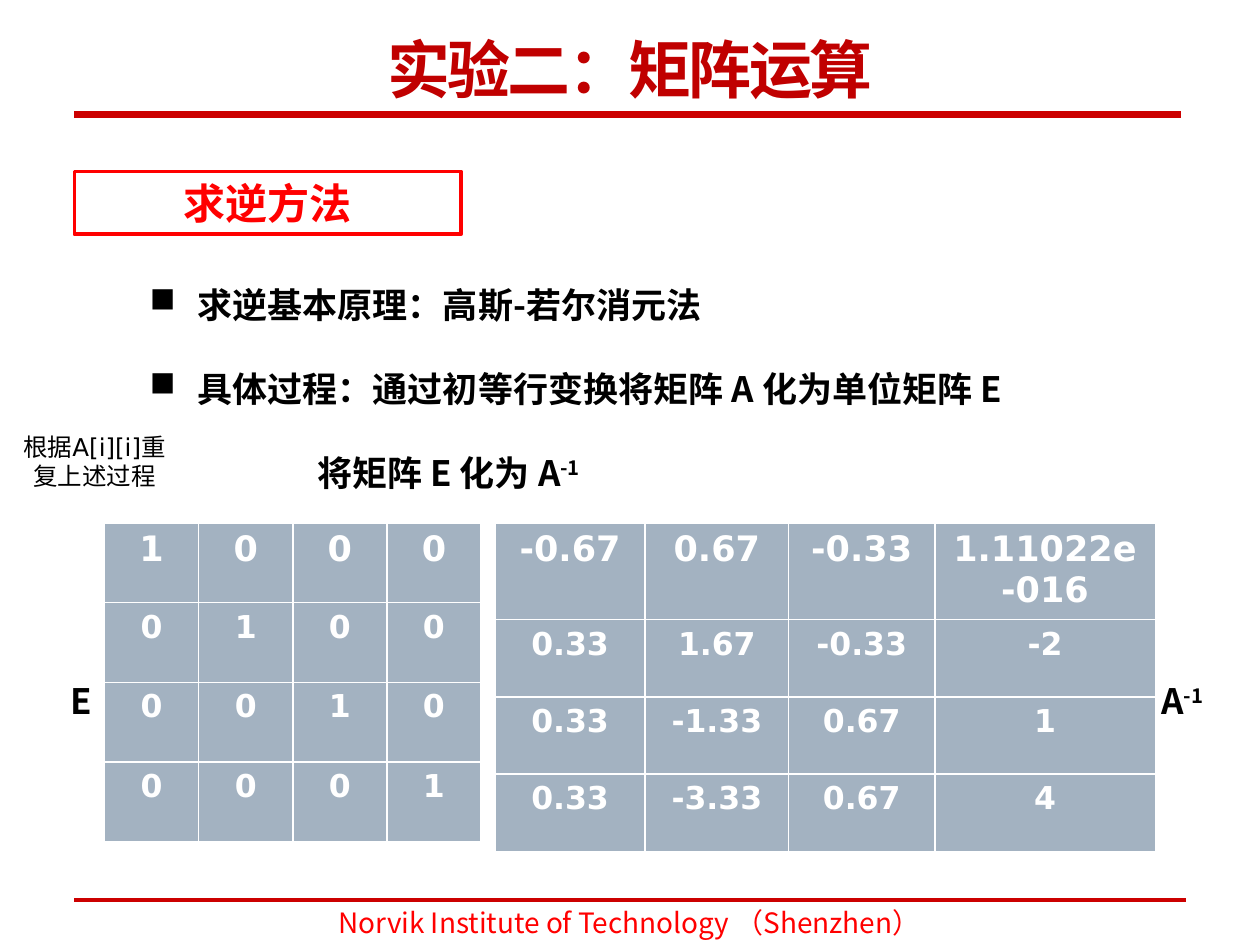
from pptx import Presentation
from pptx.dml.color import RGBColor
from pptx.enum.shapes import MSO_CONNECTOR, MSO_SHAPE
from pptx.enum.text import MSO_ANCHOR, PP_ALIGN
from pptx.oxml.ns import qn
from pptx.util import Inches, Pt
from lxml.etree import SubElement

theme = {
    "red": RGBColor(0xFF, 0, 0), "title": RGBColor(0xC0, 0, 0),
    "rule": RGBColor(0xCC, 0, 0), "black": RGBColor(0, 0, 0),
    "white": RGBColor(255, 255, 255), "cell": RGBColor(0xA3, 0xB2, 0xC1),
    "sans": "DejaVu Sans", "cjk": "Noto Sans CJK SC", "footer_font": "Noto Sans CJK JP",
    "title_size": 36, "heading_size": 24, "body_size": 20,
    "cell_size": 18, "footer_size": 16, "note_size": 14,
}

prs = Presentation()
prs.slide_width, prs.slide_height = Inches(10), Inches(7.5)
s = prs.slides.add_slide(prs.slide_layouts[5])

# Grid of 100 columns by 75 rows
COL, ROW = prs.slide_width / 100, prs.slide_height / 75


def box(*cells):
    """Turn left, top, width and height in grid cells into slide lengths."""
    return [int(n * unit) for n, unit in zip(cells, (COL, ROW, COL, ROW))]


def add_run(p, text, size, color, font, bold=True):
    r = p.add_run()
    r.text = text
    r.font.size, r.font.bold, r.font.name = Pt(size), bold, font
    r.font.color.rgb = color
    SubElement(r.font._element, qn("a:ea"), typeface=font)
    return r


# Rules above and below the content
for right, y, weight in ((93.7, 9.1, 4), (94.1, 71.4, 2.25)):
    x1, y1, x2, y2 = box(5.9, y, right, y)
    rule = s.shapes.add_connector(MSO_CONNECTOR.STRAIGHT, x1, y1, x2, y2)
    rule.line.color.rgb, rule.line.width = theme["rule"], Pt(weight)
    SubElement(rule._element.spPr, qn("a:effectLst"))

# Title
title = s.shapes.title
title.left, title.top, title.width, title.height = box(11.4, 2.1, 77.2, 6.8)
tf = title.text_frame
tf.vertical_anchor = MSO_ANCHOR.BOTTOM
p = tf.paragraphs[0]
p.alignment = PP_ALIGN.CENTER
r = add_run(p, "实验二：矩阵运算", theme["title_size"], theme["title"], theme["sans"])
r.font._element.set("spc", "-150")

# Framed heading
frame = s.shapes.add_shape(MSO_SHAPE.RECTANGLE, *box(5.9, 13.6, 30.7, 5))
frame.shadow.inherit = False
frame.fill.background()
frame.line.color.rgb, frame.line.width = theme["red"], Pt(2)
tf = frame.text_frame
tf.margin_top = tf.margin_bottom = 0
tf.vertical_anchor = MSO_ANCHOR.MIDDLE
p = tf.paragraphs[0]
p.alignment = PP_ALIGN.CENTER
add_run(p, "求逆方法", theme["heading_size"], theme["red"], theme["cjk"])

# Method steps and matrix labels: text, superscript, left margin in columns, bullet
steps = [
    ("求逆基本原理：高斯-若尔消元法", "", 8.8, True),
    ("具体过程：通过初等行变换将矩阵 A 化为单位矩阵 E", "", 8.8, True),
    ("将矩阵 E 化为 A", "-1", 18.3, False),
]
blocks = [
    (box(5.9, 21.8, 87.4, 17.8), steps),
    (box(4.6, 53.2, 7.6, 4.4), [("E", "", 0, False)]),
    (box(91.2, 53.2, 7.6, 4.4), [("A", "-1", 0, False)]),
]
for place, lines in blocks:
    tf = s.shapes.add_textbox(*place).text_frame
    tf.word_wrap = True
    tf.margin_top = Inches(0.07)
    for i, (text, power, margin, bullet) in enumerate(lines):
        p = tf.paragraphs[0] if i == 0 else tf.add_paragraph()
        p.space_before = p.space_after = Pt(12)
        p.line_spacing = Pt(24)
        pPr = p._p.get_or_add_pPr()
        pPr.set("marL", str(int(margin * COL)))
        if bullet:
            pPr.set("indent", str(int(-3.8 * COL)))
            SubElement(pPr, qn("a:buChar"), char="■")
        add_run(p, text, theme["body_size"], theme["black"], theme["cjk"])
        if power:
            r = add_run(p, power, theme["body_size"], theme["black"], theme["cjk"])
            r.font._element.set("baseline", "30000")

# Side note and footer
captions = [
    (box(0.4, 33.8, 14.2, 5.7), "根据A[i][i]重复上述过程", "note_size", "black", "sans", MSO_ANCHOR.TOP),
    (box(16.9, 71.4, 66.1, 3.6), "Norvik Institute of Technology （Shenzhen）",
     "footer_size", "red", "footer_font", MSO_ANCHOR.MIDDLE),
]
for place, text, size, color, font, anchor in captions:
    tf = s.shapes.add_textbox(*place).text_frame
    tf.word_wrap = True
    tf.vertical_anchor = anchor
    p = tf.paragraphs[0]
    p.alignment = PP_ALIGN.CENTER
    add_run(p, text, theme[size], theme[color], theme[font], bold=False)

# Unit matrix and inverse matrix
identity = [[str(int(i == j)) for j in range(4)] for i in range(4)]
inverse = [
    ["-0.67", "0.67", "-0.33", "1.11022e-016"],
    ["0.33", "1.67", "-0.33", "-2"],
    ["0.33", "-1.33", "0.67", "1"],
    ["0.33", "-3.33", "0.67", "4"],
]
matrices = [
    (8.3, 6.33, [7.47] * 4, identity),
    (39.3, 6.13, [11.9, 11.4, 11.6, 17.5], inverse),
]
for left, row_height, widths, values in matrices:
    place = box(left, 41.5, sum(widths), row_height * 4)
    table = s.shapes.add_table(4, 4, *place).table
    table.horz_banding = False
    for column, width in zip(table.columns, widths):
        column.width = int(width * COL)
    for i, row in enumerate(values):
        size = theme["cell_size" if i else "body_size"]
        for j, value in enumerate(row):
            cell = table.cell(i, j)
            cell.fill.solid()
            cell.fill.fore_color.rgb = theme["cell"]
            p = cell.text_frame.paragraphs[0]
            p.alignment = PP_ALIGN.CENTER
            add_run(p, value, size, theme["white"], theme["sans"])

prs.save("out.pptx")
